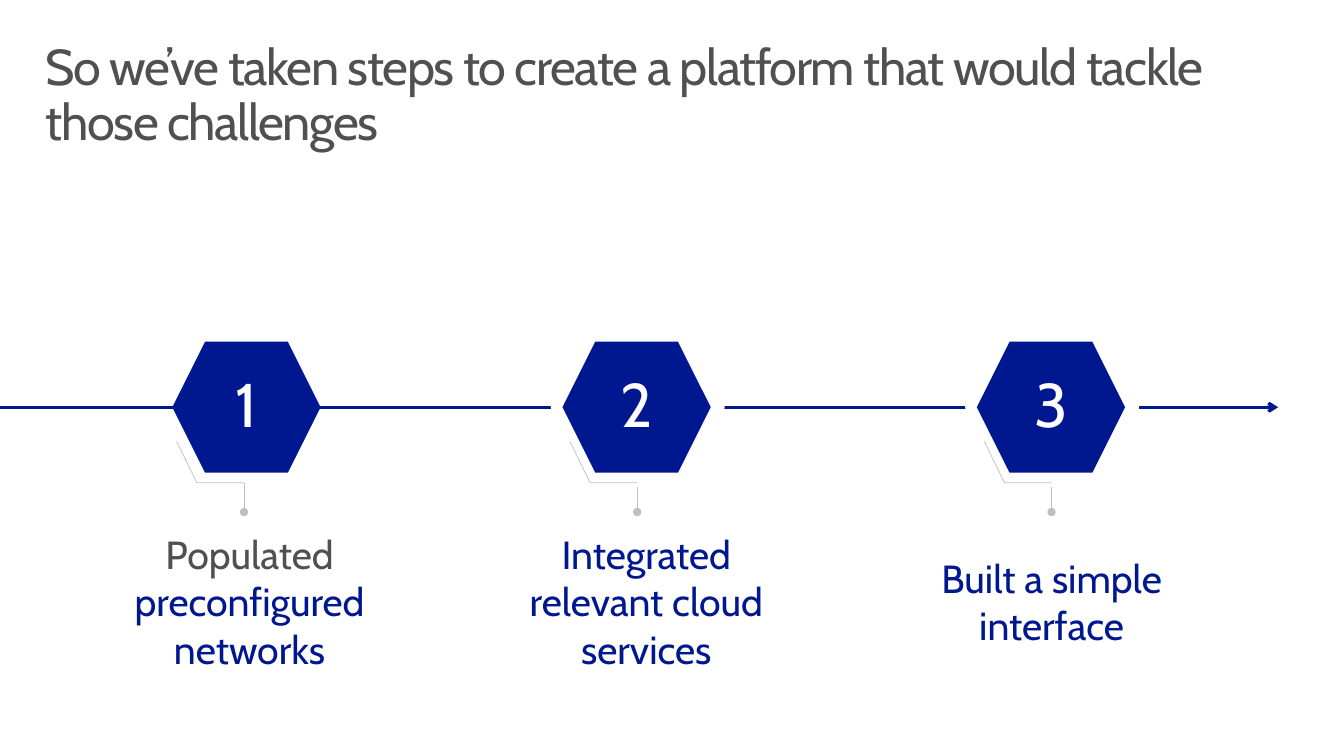
from lxml.etree import SubElement
from pptx import Presentation
from pptx.dml.color import RGBColor
from pptx.enum.shapes import MSO_CONNECTOR, MSO_SHAPE
from pptx.enum.text import MSO_ANCHOR, PP_ALIGN
from pptx.oxml.ns import qn
from pptx.util import Inches, Pt

NAVY, GREY, PALE, WHITE = "00188F", "505050", "BFBFBF", "FFFFFF"

deck = Presentation()
deck.slide_width, deck.slide_height = Inches(13.33), Inches(7.5)
slide = deck.slides.add_slide(deck.slide_layouts[6])
shapes = slide.shapes

# The slide is a grid of 100 columns by 100 rows
COL, ROW = deck.slide_width / 100, deck.slide_height / 100


def cells(x, y, wide, high):
    """Turn grid columns and rows into slide lengths."""
    return int(x * COL), int(y * ROW), int(wide * COL), int(high * ROW)


def paint(item, hue, size=None):
    """Colour a font or a fill, and set the font's face and size."""
    if size:
        item.name, item.size = "Cabin", Pt(size)
        item.color.rgb = RGBColor.from_string(hue)
    else:
        item.solid()
        item.fore_color.rgb = RGBColor.from_string(hue)


# Title
frame = shapes.add_textbox(*cells(2.2, 4.27, 95.6, 13.07)).text_frame
frame.word_wrap = True
frame.margin_left = frame.margin_right = Inches(0.16)
frame.margin_top = frame.margin_bottom = Inches(0.1)
title = frame.paragraphs[0]
title.line_spacing = 0.9
run = title.add_run()
run.text = "So we’ve taken steps to create a platform that would tackle those challenges"
paint(run.font, GREY, 36)
run.font._element.set("spc", "-100")

# Steps: middle of hexagon, foot of callout, left and width of label, label runs
steps = [
    (18.34, 18.15, 9, 19.13, [("Populated ", GREY), ("preconfigured networks", NAVY)]),
    (47.37, 47.41, 37.96, 20.25, [("Integrated relevant cloud services", NAVY)]),
    (78.2, 78.24, 69.84, 16.8, [("Built a simple interface", NAVY)]),
]
AXIS, BEND, FOOT = 53.87, 63.87, 67.73

# Arrow along the axis, then the stem of each callout
lines = [(0, AXIS, 95.1, AXIS, NAVY, 2.25, "tailEnd", "arrow")]
lines += [(step[1], FOOT, step[1], BEND, PALE, 0.5, "headEnd", "oval") for step in steps]
for x, y, right, low, hue, width, end, kind in lines:
    line = shapes.add_connector(MSO_CONNECTOR.STRAIGHT, *cells(x, y, right, low))
    paint(line.line.fill, hue)
    line.line.width = Pt(width)
    SubElement(line.line._get_or_add_ln(), qn("a:" + end), type=kind)
    SubElement(line._element.spPr, qn("a:effectLst"))

for count, (mid, foot, left, wide, runs) in enumerate(steps, 1):
    # A white disc breaks the axis around every step but the first
    marks = [(MSO_SHAPE.HEXAGON, 5.52, 45.2, 11.03, 17.33, NAVY)]
    if count > 1:
        marks.insert(0, (MSO_SHAPE.OVAL, 6.41, 41.33, 12.98, 23.07, WHITE))
    for kind, half, top, width, high, hue in marks:
        mark = shapes.add_shape(kind, *cells(mid - half, top, width, high))
        mark.shadow.inherit = False
        paint(mark.fill, hue)
        mark.line.fill.background()

    frame = mark.text_frame
    frame.margin_left = frame.margin_right = Inches(0.2)
    frame.margin_top = frame.margin_bottom = Inches(0.16)
    frame.vertical_anchor = MSO_ANCHOR.MIDDLE
    digit = frame.paragraphs[0]
    digit.text = str(count)
    digit.alignment, digit.line_spacing = PP_ALIGN.CENTER, 0.9
    paint(digit.font, WHITE, 44)

    # Bent part of the callout
    pen = shapes.build_freeform(int(foot * COL), int(BEND * ROW))
    pen.add_line_segments(
        [((foot - 3.5) * COL, BEND * ROW), ((foot - 5) * COL, 58.4 * ROW)], close=False
    )
    bend = pen.convert_to_shape()
    bend.shadow.inherit = False
    bend.fill.background()
    paint(bend.line.fill, PALE)
    bend.line.width = Pt(0.5)

    frame = shapes.add_textbox(*cells(left, 70.13, wide, 18.8)).text_frame
    frame.word_wrap = True
    frame.margin_left = frame.margin_right = frame.margin_top = frame.margin_bottom = 0
    frame.vertical_anchor = MSO_ANCHOR.MIDDLE
    label = frame.paragraphs[0]
    label.alignment, label.space_after = PP_ALIGN.CENTER, Pt(6)
    for text, hue in runs:
        run = label.add_run()
        run.text = text
        paint(run.font, hue, 28)

deck.save("out.pptx")
